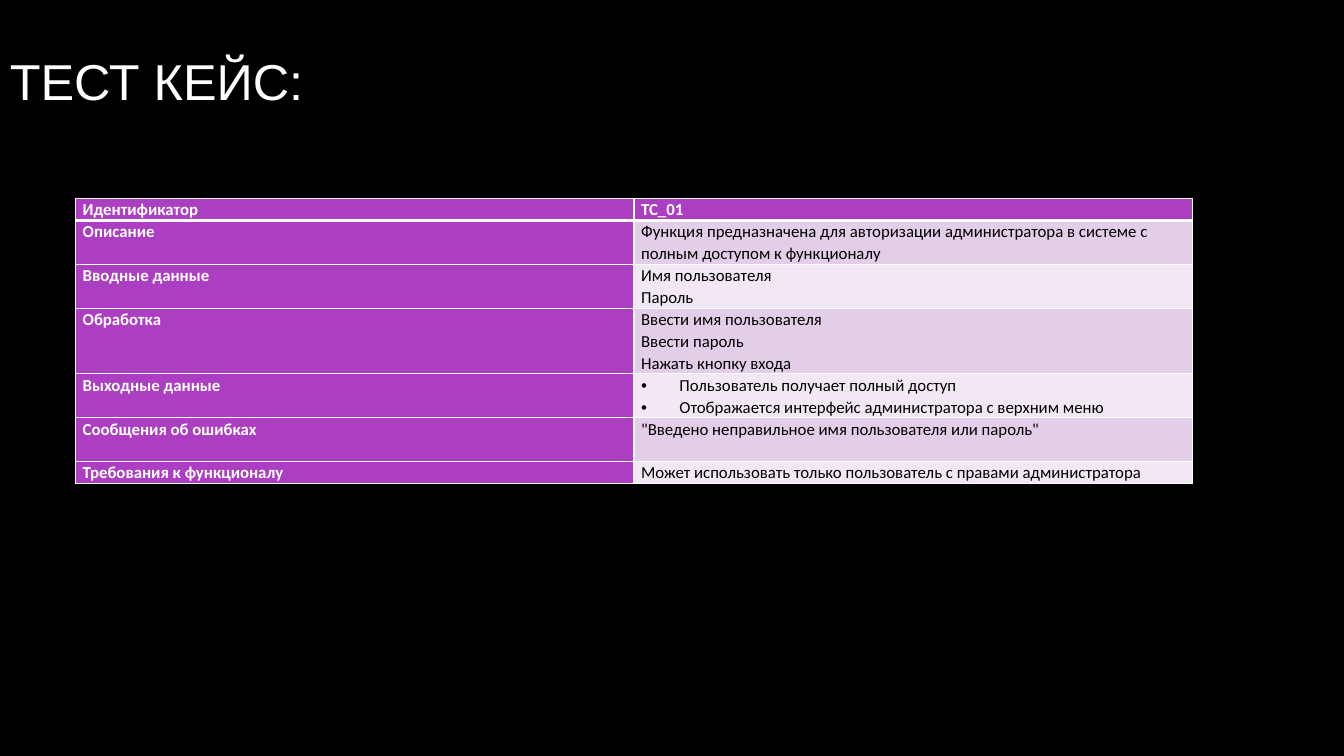
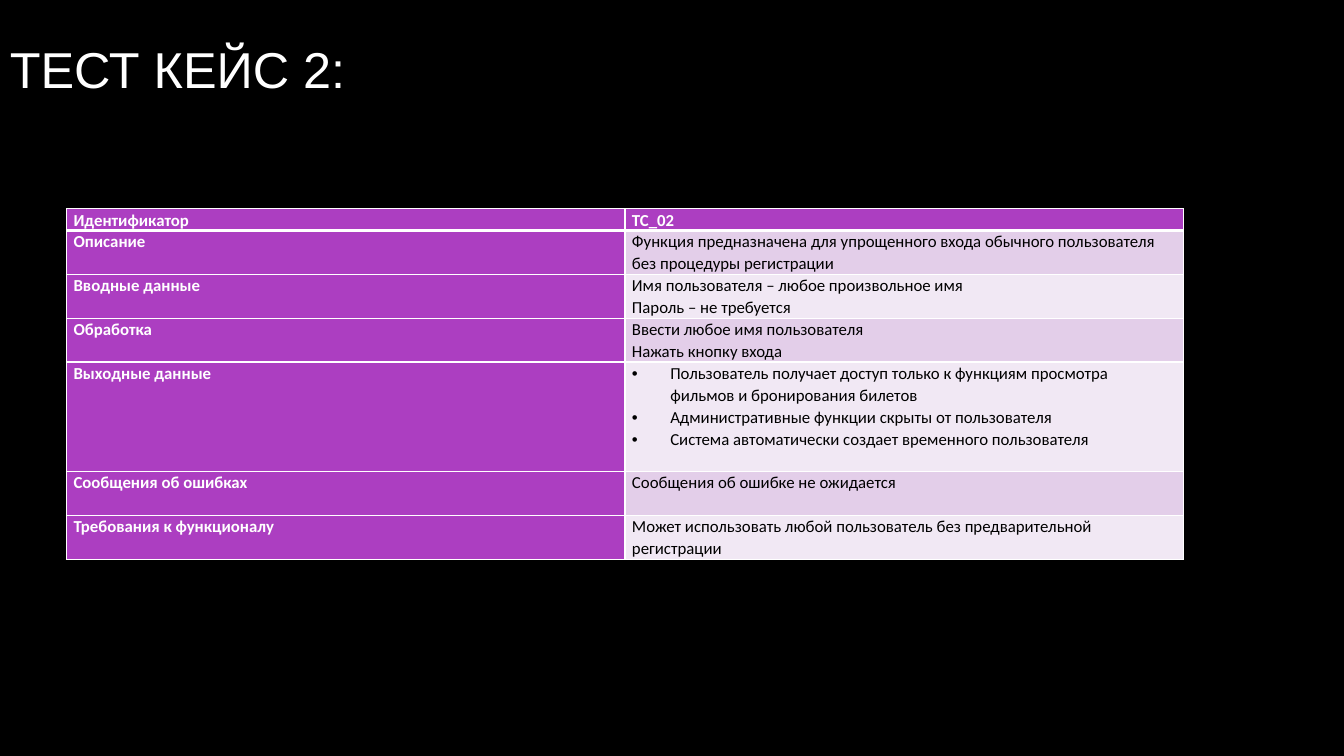
from lxml.etree import SubElement
from pptx import Presentation
from pptx.dml.color import RGBColor
from pptx.enum.text import MSO_ANCHOR
from pptx.oxml.ns import qn
from pptx.util import Inches, Pt

BLACK = RGBColor(0x00, 0x00, 0x00)
WHITE = RGBColor(0xFF, 0xFF, 0xFF)
PURPLE = RGBColor(0xAC, 0x3E, 0xC1)
LILAC = RGBColor(0xE3, 0xCE, 0xE9)
PALE_LILAC = RGBColor(0xF1, 0xE8, 0xF4)

LABELS = [
    "Идентификатор",
    "Описание",
    "Вводные данные",
    "Обработка",
    "Выходные данные",
    "Сообщения об ошибках",
    "Требования к функционалу",
]
BULLETED = "Выходные данные"

CASES = [
    {
        "title": "ТЕСТ КЕЙС:",
        "title_top": 0,
        "corner": (5.63, 26.27),
        "line_counts": [1, 2, 2, 3, 2, 2, 1],
        "values": [
            ["TC_01"],
            ["Функция предназначена для авторизации администратора в системе с полным доступом к функционалу"],
            ["Имя пользователя", "Пароль"],
            ["Ввести имя пользователя", "Ввести пароль", "Нажать кнопку входа"],
            ["Пользователь получает полный доступ", "Отображается интерфейс администратора с верхним меню"],
            ['"Введено неправильное имя пользователя или пароль"'],
            ["Может использовать только пользователь с правами администратора"],
        ],
    },
    {
        "title": "ТЕСТ КЕЙС 2:",
        "title_top": -1.6,
        "corner": (4.95, 27.6),
        "line_counts": [1, 2, 2, 2, 5, 2, 2],
        "values": [
            ["TC_02"],
            ["Функция предназначена для упрощенного входа обычного пользователя без процедуры регистрации"],
            ["Имя пользователя – любое произвольное имя", "Пароль – не требуется"],
            ["Ввести любое имя пользователя", "Нажать кнопку входа"],
            [
                "Пользователь получает доступ только к функциям просмотра фильмов и бронирования билетов",
                "Административные функции скрыты от пользователя",
                "Система автоматически создает временного пользователя",
            ],
            ["Сообщения об ошибке не ожидается"],
            ["Может использовать любой пользователь без предварительной регистрации"],
        ],
    },
]


def write(frame, lines, font="Calibri", size=12, color=WHITE, bold=False, spacing=1.07, bullet=False):
    for index, line in enumerate(lines):
        para = frame.paragraphs[0] if index == 0 else frame.add_paragraph()
        para.line_spacing = spacing
        if bullet:
            properties = para._p.get_or_add_pPr()
            properties.set("marL", str(Inches(0.38)))
            properties.set("indent", str(-Inches(0.38)))
            SubElement(properties, qn("a:buFont"), typeface="Arial")
            SubElement(properties, qn("a:buChar"), char="•")
        span = para.add_run()
        span.text = line
        span.font.name = font
        span.font.size = Pt(size)
        span.font.bold = bold
        span.font.color.rgb = color


def outline(cell, **widths):
    properties = cell._tc.get_or_add_tcPr()
    for side in "LRTB":
        border = SubElement(properties, qn(f"a:ln{side}"), w=str(Pt(widths.get(side, 1))))
        paint = SubElement(border, qn("a:solidFill"))
        SubElement(paint, qn("a:srgbClr"), val=str(WHITE))


deck = Presentation()
deck.slide_width = Inches(13.33)
deck.slide_height = Inches(7.5)
column = deck.slide_width / 100
row = deck.slide_height / 100
table_column = int(column * 41.55)
text_line = row * 2.9

backdrop = deck.slide_master.background.fill
backdrop.solid()
backdrop.fore_color.rgb = BLACK

for case in CASES:
    page = deck.slides.add_slide(deck.slide_layouts[6])
    box = page.shapes.add_textbox(0, int(row * case["title_top"]), table_column * 2, int(row * 21.2))
    box.text_frame.word_wrap = True
    box.text_frame.vertical_anchor = MSO_ANCHOR.MIDDLE
    write(box.text_frame, [case["title"]], font="Arial", size=36, spacing=1.0)

    left, top = case["corner"]
    height = int(text_line * sum(case["line_counts"]))
    table = page.shapes.add_table(
        len(LABELS), 2, int(column * left), int(row * top), table_column * 2, height
    ).table

    for index, (label, lines, count) in enumerate(zip(LABELS, case["values"], case["line_counts"])):
        table.rows[index].height = int(text_line * count)
        header = index == 0
        band = LILAC if index % 2 else PALE_LILAC
        for position, content in enumerate([[label], lines]):
            cell = table.cell(index, position)
            strong = header or position == 0
            cell.margin_left = cell.margin_right = Inches(0.07)
            cell.margin_top = cell.margin_bottom = 0
            outline(cell, T=3 if index == 1 else 1, B=3 if header else 1)
            cell.fill.solid()
            cell.fill.fore_color.rgb = PURPLE if strong else band
            write(
                cell.text_frame,
                content,
                color=WHITE if strong else BLACK,
                bold=strong,
                bullet=position == 1 and label == BULLETED,
            )

deck.save("out.pptx")
